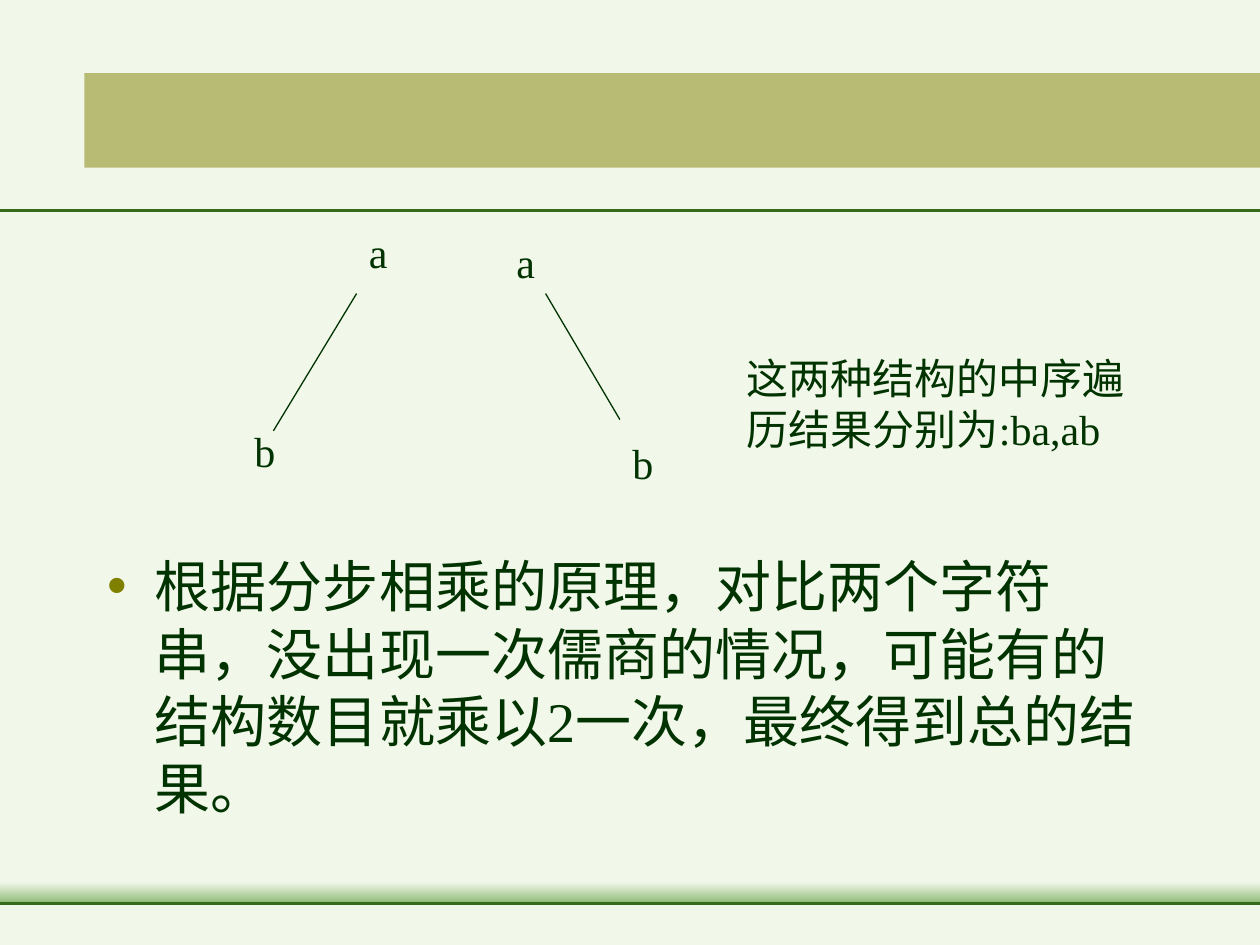
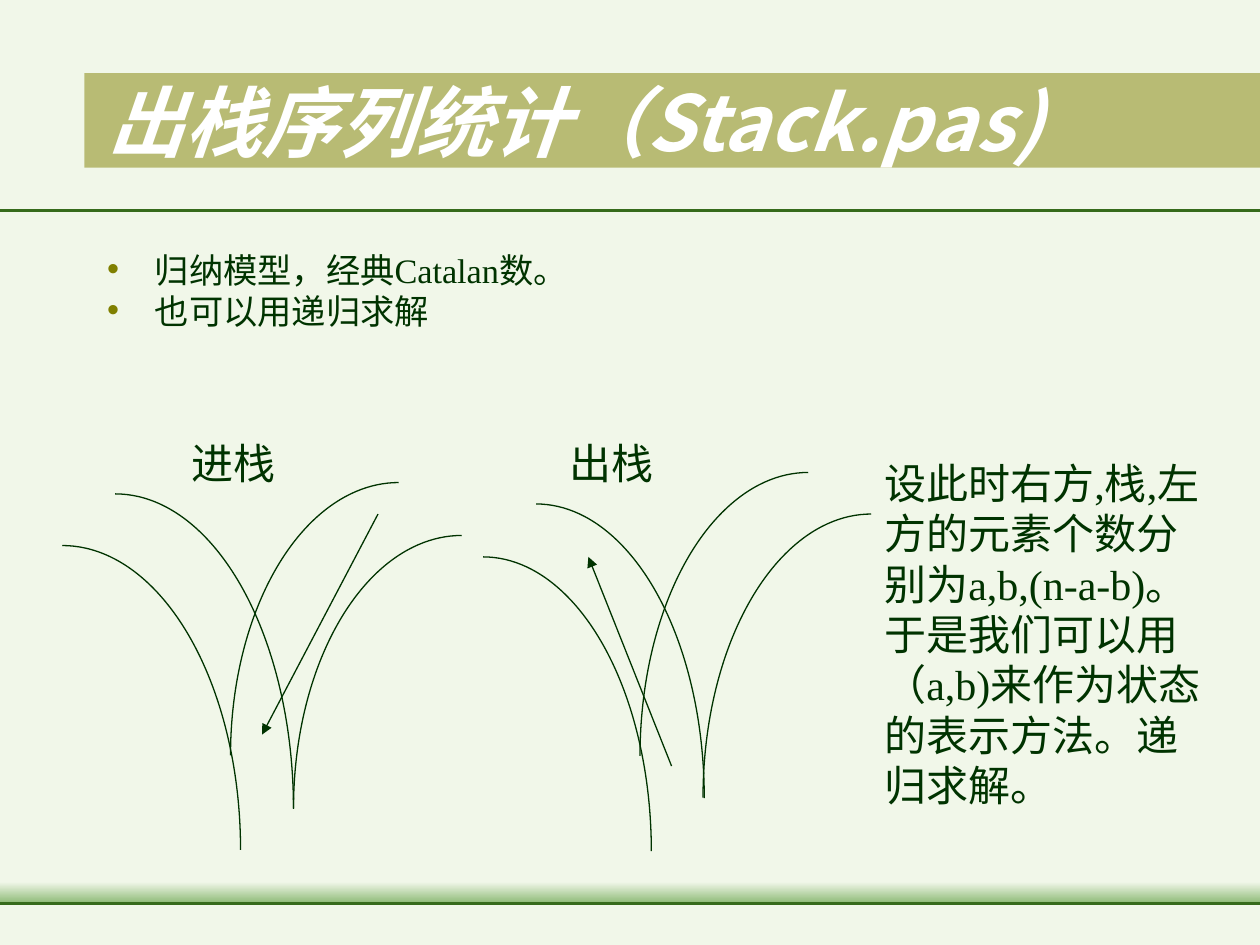
from lxml import etree
from pptx import Presentation
from pptx.dml.color import RGBColor
from pptx.enum import shapes as kinds, text as textual
from pptx.oxml.ns import qn
from pptx.util import Inches, Pt

PAPER = RGBColor(0xF1, 0xF7, 0xE9)
LEAF = RGBColor(0x8D, 0xBA, 0x76)
RULE = RGBColor(0x36, 0x6B, 0x1B)
OLIVE = RGBColor(0x80, 0x80, 0x00)
INK = RGBColor(0x00, 0x33, 0x00)
WHITE = RGBColor(0xFF, 0xFF, 0xFF)

RULE_HEIGHTS = (1.67, 7.17)
FOOTER_GLOW = (0, 7, 10, 0.17)
TITLE_BAND = (0.67, 0.58, 9.33, 0.75)

TITLE_FONT = {"name": "Noto Sans CJK JP", "size": Pt(44), "bold": True, "italic": True}
BODY_FONT = {"name": "Times New Roman"}
LABEL_FONT = {"name": "Times New Roman", "size": Pt(24)}
# Hanging indent, with line-end punctuation kept inside the box
BULLET_LAYOUT = {"marL": str(Inches(0.38)), "indent": str(-Inches(0.38)), "hangingPunct": "0"}

# Each label: text, (left, top, width, height)
TREES = {
    "body": ["根据分步相乘的原理，对比两个字符串，没出现一次儒商的情况，"
             "可能有的结构数目就乘以2一次，最终得到总的结果。"],
    "body_box": (0.75, 4.33, 8.5, 2.19),
    "body_size": 32,
    "spacing": {"space_before": Pt(8)},
    "labels": [
        ("a", (2.83, 1.75, 0.67, 0.5)),
        ("b", (1.92, 3.33, 0.67, 0.5)),
        ("a", (4, 1.83, 0.67, 0.5)),
        ("b", (4.92, 3.42, 0.67, 0.5)),
        ("这两种结构的中序遍历结果分别为:ba,ab", (5.83, 2.75, 3.42, 0.9)),
    ],
    "branches": [(2.83, 2.33, 2.17, 3.42), (4.33, 2.33, 4.92, 3.33)],
}
STACK = {
    "title": "出栈序列统计（Stack.pas)",
    "title_box": (0.75, 0.33, 8.5, 1.25),
    "body": ["归纳模型，经典Catalan数。", "也可以用递归求解"],
    "body_box": (0.75, 2.02, 8.5, 0.98),
    "body_size": 19.6,
    "spacing": {"space_before": Pt(7), "line_spacing": 0.7},
    "labels": [
        ("设此时右方,栈,左方的元素个数分别为a,b,(n-a-b)。"
         "于是我们可以用（a,b)来作为状态的表示方法。递归求解。", (6.92, 3.58, 2.83, 2.9)),
        ("进栈", (1.42, 3.42, 1.33, 0.5)),
        ("出栈", (4.42, 3.42, 1.33, 0.5)),
    ],
    "moves": [(3, 4.08, 2.08, 5.83), (5.33, 6.08, 4.67, 4.42)],
    # Ellipses whose upper quarter makes one wall of a channel
    "left_walls": [(-0.5, 3.92, 2.83, 5), (-0.92, 4.33, 2.83, 4.83),
                   (2.92, 4, 2.67, 4.67), (2.5, 4.42, 2.67, 4.67)],
    "right_walls": [(1.83, 3.83, 2.67, 4.33), (2.33, 4.25, 2.67, 4.33),
                    (5.08, 3.75, 2.67, 4.5), (5.58, 4.08, 2.67, 4.5)],
}
# Start and end angles; an adjustment of 0.6 is one degree
LEFT_WALL_ANGLES = (270 * 0.6, 0)
RIGHT_WALL_ANGLES = (180 * 0.6, 270 * 0.6)


def inches(values):
    return [Inches(value) for value in values]


def apply(target, values):
    for name, value in values.items():
        setattr(target, name, value)


def move(shape, box):
    apply(shape, dict(zip(("left", "top", "width", "height"), inches(box))))


def write(paragraph, words, font, color):
    run = paragraph.add_run()
    run.text = words
    apply(run.font, font)
    run.font.color.rgb = color


def add_line(slide, ends, color=INK, width=0.75, arrow=False):
    line = slide.shapes.add_connector(kinds.MSO_CONNECTOR.STRAIGHT, *inches(ends))
    line.line.color.rgb = color
    line.line.width = Pt(width)
    if arrow:
        etree.SubElement(line.line._get_or_add_ln(), qn("a:tailEnd"), type="triangle")
    etree.SubElement(line.element.spPr, qn("a:effectLst"))
    return line


def add_band(slide, box):
    band = slide.shapes.add_shape(kinds.MSO_SHAPE.RECTANGLE, *inches(box))
    band.shadow.inherit = False
    band.line.fill.background()
    return band


def add_wall(slide, box, angles):
    wall = slide.shapes.add_shape(kinds.MSO_SHAPE.ARC, *inches(box))
    wall.shadow.inherit = False
    wall.fill.background()
    wall.line.color.rgb = INK
    wall.line.width = Pt(0.75)
    for index, angle in enumerate(angles):
        wall.adjustments[index] = angle


def add_label(slide, words, box):
    frame = slide.shapes.add_textbox(*inches(box)).text_frame
    frame.word_wrap = True
    frame.auto_size = textual.MSO_AUTO_SIZE.SHAPE_TO_FIT_TEXT
    frame.paragraphs[0].space_before = Pt(15)
    write(frame.paragraphs[0], words, LABEL_FONT, INK)


def dress_master(master, slide):
    """Draw the shared bands and rules on slide, then move them to the master."""
    fill = master.background.fill
    fill.solid()
    fill.fore_color.rgb = PAPER

    top_rule, bottom_rule = [add_line(slide, (0, y, 10, y), RULE, 1.5) for y in RULE_HEIGHTS]
    glow = add_band(slide, FOOTER_GLOW)
    glow.fill.gradient()
    glow.fill.gradient_angle = 270
    for stop, color, position in zip(glow.fill.gradient_stops, (PAPER, LEAF), (0, 1)):
        stop.color.rgb = color
        stop.position = position
    band = add_band(slide, TITLE_BAND)
    band.fill.solid()
    band.fill.fore_color.rgb = OLIVE
    tint = band.element.spPr.find(".//" + qn("a:srgbClr"))
    etree.SubElement(tint, qn("a:alpha"), val="50000")

    for order, part in enumerate((top_rule, glow, bottom_rule, band)):
        part.element.find(".//" + qn("p:cNvPr")).set("id", str(100 + order))
        master.shapes.element.insert(2 + order, part.element)


def fill_title(title, content):
    if "title" not in content:
        title.element.getparent().remove(title.element)
        return
    move(title, content["title_box"])
    frame = title.text_frame
    frame.vertical_anchor = textual.MSO_ANCHOR.MIDDLE
    frame.auto_size = textual.MSO_AUTO_SIZE.NONE
    frame.paragraphs[0].alignment = textual.PP_ALIGN.LEFT
    write(frame.paragraphs[0], content["title"], TITLE_FONT, WHITE)


def fill_body(body, content):
    move(body, content["body_box"])
    frame = body.text_frame
    frame.auto_size = textual.MSO_AUTO_SIZE.NONE
    for index, words in enumerate(content["body"]):
        point = frame.add_paragraph() if index else frame.paragraphs[0]
        apply(point, content["spacing"])
        write(point, words, {**BODY_FONT, "size": Pt(content["body_size"])}, INK)
        properties = point._p.get_or_add_pPr()
        for name, value in BULLET_LAYOUT.items():
            properties.set(name, value)
        bullet_color = etree.SubElement(properties, qn("a:buClr"))
        etree.SubElement(bullet_color, qn("a:srgbClr"), val=str(OLIVE))
        etree.SubElement(properties, qn("a:buChar"), char="•")


def build_slide(deck, content):
    slide = deck.slides.add_slide(deck.slide_layouts[1])
    fill_body(slide.placeholders[1], content)
    fill_title(slide.shapes.title, content)
    for box in content.get("left_walls", ()):
        add_wall(slide, box, LEFT_WALL_ANGLES)
    for box in content.get("right_walls", ()):
        add_wall(slide, box, RIGHT_WALL_ANGLES)
    for ends in content.get("branches", ()):
        add_line(slide, ends)
    for ends in content.get("moves", ()):
        add_line(slide, ends, arrow=True)
    for words, box in content["labels"]:
        add_label(slide, words, box)
    return slide


def main():
    deck = Presentation()
    deck.slide_width, deck.slide_height = inches((10, 7.5))
    trees = build_slide(deck, TREES)
    dress_master(deck.slide_master, trees)
    build_slide(deck, STACK)
    deck.save("out.pptx")


if __name__ == "__main__":
    main()
